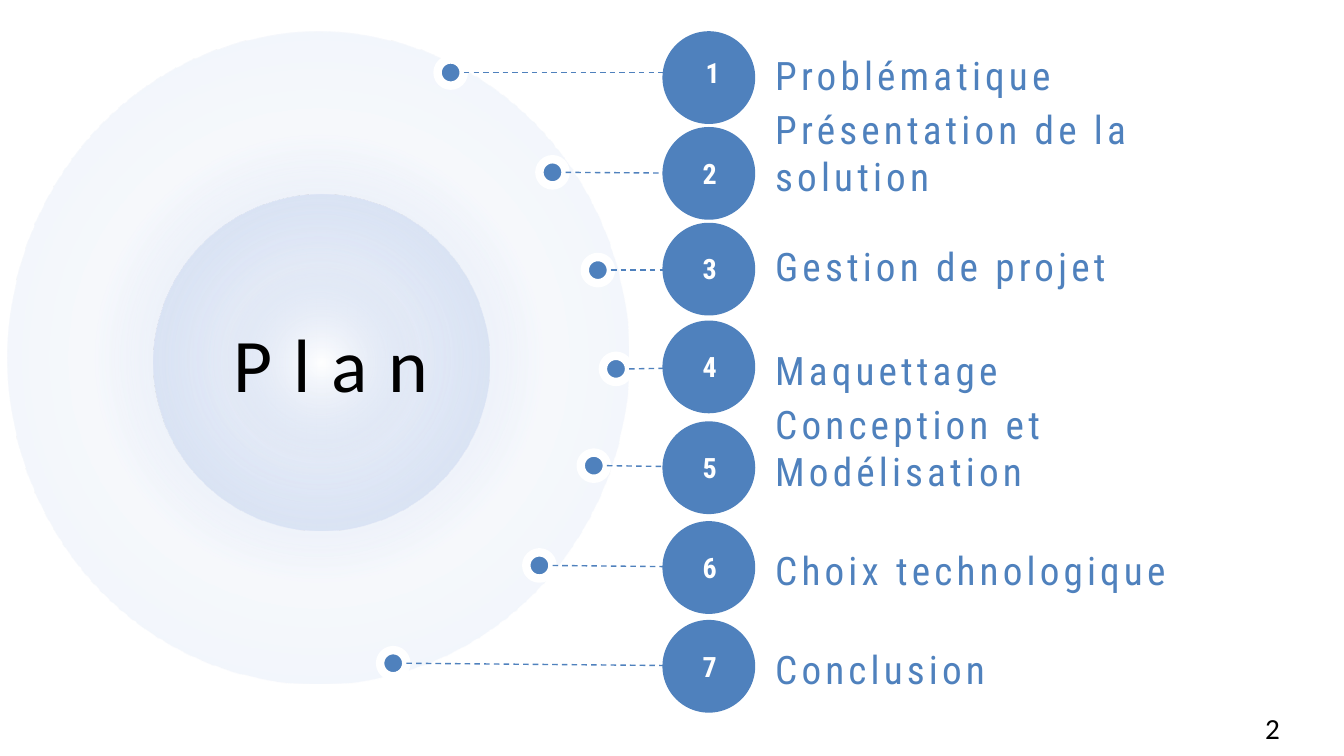
from dataclasses import dataclass

from lxml import etree
from pptx import Presentation
from pptx.dml.color import RGBColor
from pptx.enum.dml import MSO_LINE
from pptx.enum.shapes import MSO_CONNECTOR, MSO_SHAPE
from pptx.enum.text import MSO_ANCHOR, MSO_AUTO_SIZE, PP_ALIGN
from pptx.oxml.ns import qn
from pptx.util import Inches, Pt

OVAL = MSO_SHAPE.OVAL
STRAIGHT = MSO_CONNECTOR.STRAIGHT
DASH = MSO_LINE.DASH
TOP, BOTTOM = MSO_ANCHOR.TOP, MSO_ANCHOR.BOTTOM
LEFT, CENTER = PP_ALIGN.LEFT, PP_ALIGN.CENTER
GROW = MSO_AUTO_SIZE.SHAPE_TO_FIT_TEXT

COLORS = {"blue": "4F81BD", "white": "FFFFFF", "black": "000000",
          "pale": "C2D1ED", "soft": "9AB5E4"}
TITLE_FONT, LABEL_FONT = "Calibri", "Roboto Condensed"
COLUMNS, ROWS = 133.3, 75
DOT, DISC, DISC_LEFT, LABEL_LEFT = 2.6, 9.2, 65.7, 75.9


@dataclass
class Step:
    """One entry of the plan, placed in columns and rows."""
    label: str
    dot: tuple
    disc_top: float
    line_end: tuple
    label_width: float = 44.6
    label_drop: float = 1.5
    label_height: float = 6.2
    number_at: tuple = (3, 2.4)
    number_width: float = 3.6


STEPS = [
    Step("Problématique", (43.4, 5.9), 3.1, (74.3, 7.2),
         label_drop=1, number_at=(3.3, 1.9), number_width=2.5),
    Step("Présentation de la solution", (53.5, 15.8), 12.6, (70.6, 17.2), 47.1),
    Step("Gestion de projet", (58, 25.5), 22.1, (73.8, 26.8), 49.6, 2.3, 4.8),
    Step("Maquettage", (59.8, 35.3), 31.8, (73.7, 36.4)),
    Step("Conception et Modélisation", (57.6, 44.9), 41.8, (74.9, 46.4), 47.1),
    Step("Choix technologique", (52.2, 54.8), 51.7, (74.9, 56.3)),
    Step("Conclusion", (37.7, 64.5), 61.5, (74.9, 66.1)),
]


class PlanSlide:
    """Draws styled elements on one slide, measured in grid columns and rows."""

    def __init__(self, deck):
        self.slide = deck.slides.add_slide(deck.slide_layouts[6])
        self.shapes = self.slide.shapes
        self.column = deck.slide_width / COLUMNS
        self.row = deck.slide_height / ROWS

    def place(self, *lengths):
        units = (self.column, self.row) * 2
        return [round(length * unit) for length, unit in zip(lengths, units)]

    def color(self, name):
        return RGBColor.from_string(COLORS[name])

    def circle(self, left, top, width, height, fill="blue", rim=0):
        circle = self.shapes.add_shape(OVAL, *self.place(left, top, width, height))
        circle.shadow.inherit = False
        circle.fill.solid()
        circle.fill.fore_color.rgb = self.color(fill)
        if rim:
            circle.line.color.rgb = self.color("white")
            circle.line.width = Pt(rim)
        else:
            circle.line.fill.background()
        return circle

    def halo(self, left, top, width, height, stops):
        properties = self.circle(left, top, width, height)._element.spPr
        gradient = etree.Element(qn("a:gradFill"), rotWithShape="1")
        stop_list = etree.SubElement(gradient, qn("a:gsLst"))
        for position, name, opacity in stops:
            stop = etree.SubElement(stop_list, qn("a:gs"), pos=str(position * 1000))
            tint = etree.SubElement(stop, qn("a:srgbClr"), val=COLORS[name])
            if opacity < 100:
                etree.SubElement(tint, qn("a:alpha"), val=str(opacity * 1000))
        focus = etree.SubElement(gradient, qn("a:path"), path="circle")
        etree.SubElement(focus, qn("a:fillToRect"),
                         dict.fromkeys("ltrb", "50000"))
        properties.replace(properties.find(qn("a:solidFill")), gradient)

    def dashed_line(self, start, end):
        line = self.shapes.add_connector(STRAIGHT, *self.place(*start, *end))
        line.line.color.rgb = self.color("blue")
        line.line.width = Pt(1)
        line.line.dash_style = DASH
        etree.SubElement(line._element.spPr, qn("a:effectLst"))

    def text(self, words, box, size, color, font=LABEL_FONT, bold=False,
             spacing=0, anchor=TOP, align=LEFT, grow=False):
        frame = self.shapes.add_textbox(*self.place(*box)).text_frame
        frame.word_wrap = True
        frame.vertical_anchor = anchor
        if grow:
            frame.auto_size = GROW
        paragraph = frame.paragraphs[0]
        paragraph.text = words
        paragraph.alignment = align
        style = paragraph.font
        style.name, style.size, style.bold = font, Pt(size), bold
        style.color.rgb = self.color(color)
        if spacing:
            defaults = paragraph._p.pPr.find(qn("a:defRPr"))
            defaults.set("spc", str(spacing * 100))

    def step(self, number, step):
        dot_left, dot_top = step.dot
        number_left, number_drop = step.number_at
        self.circle(dot_left, dot_top, DOT, DOT, rim=6)
        self.dashed_line((dot_left + DOT, dot_top + DOT / 2), step.line_end)
        self.circle(DISC_LEFT, step.disc_top, DISC, DISC)
        self.text(step.label,
                  (LABEL_LEFT, step.disc_top + step.label_drop,
                   step.label_width, step.label_height),
                  28, "blue", spacing=3, anchor=BOTTOM)
        self.text(str(number),
                  (DISC_LEFT + number_left, step.disc_top + number_drop,
                   step.number_width, 4.4),
                  20, "white", bold=True, grow=True)


def main():
    deck = Presentation()
    deck.slide_width, deck.slide_height = Inches(13.33), Inches(7.5)
    plan = PlanSlide(deck)
    plan.text("2", (124.5, 70, 7.9, 4), 20.8, "black", TITLE_FONT)
    plan.halo(0.8, 3.1, 61.5, 64.7,
              [(0, "white", 100), (50, "pale", 14), (100, "soft", 15)])
    plan.halo(15.2, 19.3, 33.3, 33.3,
              [(0, "white", 100), (42, "pale", 24), (100, "soft", 38)])
    plan.text("Plan", (9.2, 21.5, 47.2, 19.4), 54, "black", TITLE_FONT,
              spacing=15, anchor=BOTTOM, align=CENTER)
    for number, step in enumerate(STEPS, 1):
        plan.step(number, step)
    deck.save("out.pptx")


if __name__ == "__main__":
    main()
